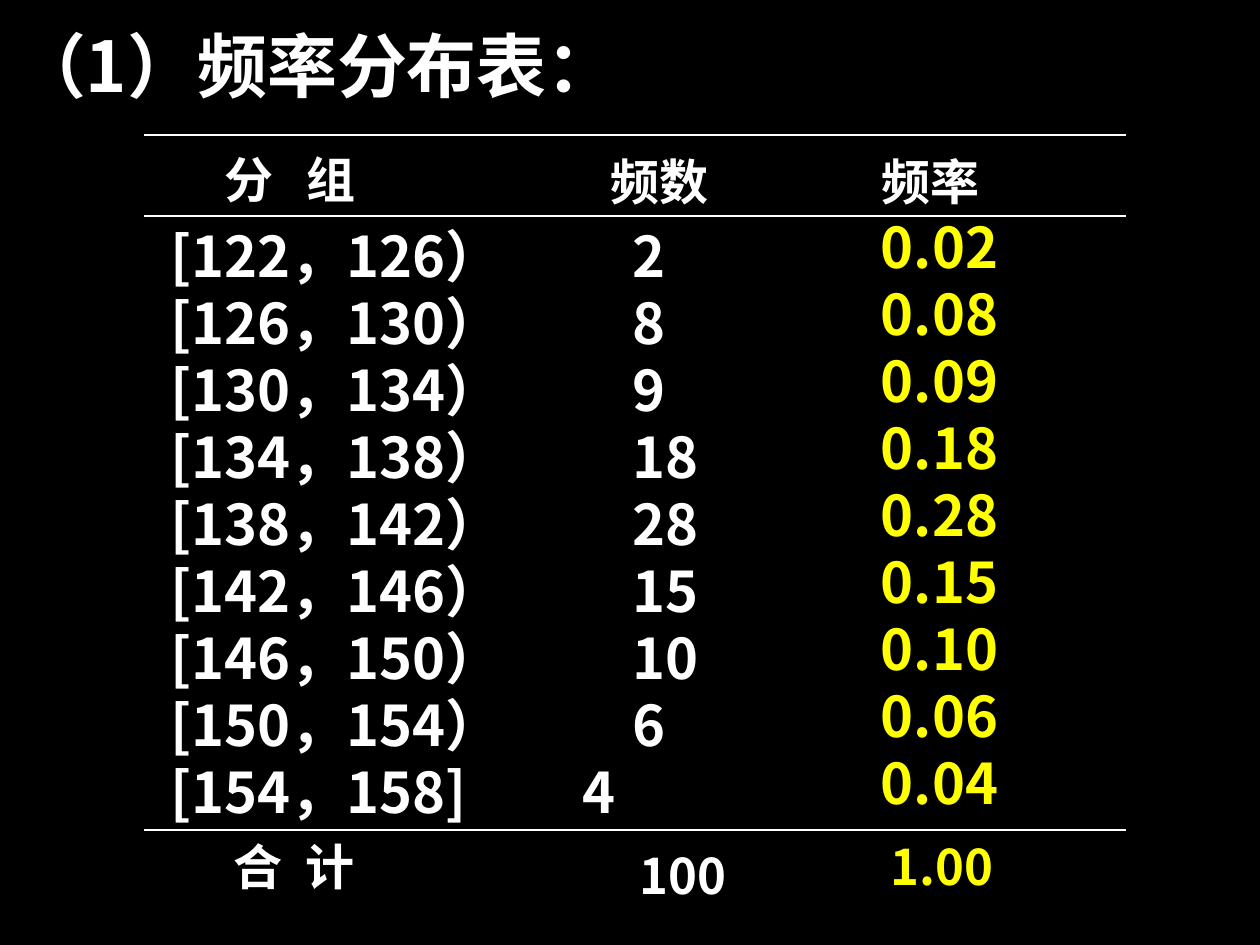
import pptx
import pptx.dml.color
import pptx.enum.shapes
import pptx.enum.text
import pptx.oxml.ns
import pptx.util
from lxml import etree

EMU_PER_PX = 914400 / 126
WHITE = pptx.dml.color.RGBColor(0xFF, 0xFF, 0xFF)
YELLOW = pptx.dml.color.RGBColor(0xFF, 0xFF, 0x00)
BLACK = pptx.dml.color.RGBColor(0x00, 0x00, 0x00)
CJK = "Noto Sans CJK SC"
PLAIN_STYLE = "{2D5ABB26-0587-4C30-8999-92F81FD0307C}"

TABLE_LEFT, TABLE_TOP = 144, 136
COLUMN_WIDTHS = [439, 287, 256]
HEADER_HEIGHT, FIRST_HEIGHT, GROUP_HEIGHT, TOTAL_HEIGHT = 80, 78, 67, 80
RULE_HEIGHTS = [135, 216, 830]
FIRST_BOUND, CLASS_WIDTH = 122, 4
COUNTS = [2, 8, 9, 18, 28, 15, 10, 6, 4]


def px(length):
    return pptx.util.Emu(round(length * EMU_PER_PX))


def set_all(target, values):
    for name, value in values.items():
        setattr(target, name, value)


def write(frame, text, size, color, latin=CJK, asian=CJK, spacing=None, tab=None):
    paragraph = frame.paragraphs[0]
    paragraph.alignment = pptx.enum.text.PP_ALIGN.LEFT
    paragraph.line_spacing = pptx.util.Pt(spacing or size)
    if tab:
        stops = etree.SubElement(
            paragraph._p.get_or_add_pPr(), pptx.oxml.ns.qn("a:tabLst"))
        etree.SubElement(stops, pptx.oxml.ns.qn("a:tab"),
                         pos=str(px(tab)), algn="l")
    run = paragraph.add_run()
    run.text = text
    set_all(run.font, {"size": pptx.util.Pt(size), "bold": True, "name": latin})
    run.font.color.rgb = color
    etree.SubElement(run._r.get_or_add_rPr(), pptx.oxml.ns.qn("a:ea"), typeface=asian)


def add_title(slide, text):
    title = slide.shapes.title
    set_all(title, {"left": px(5), "top": px(16),
                    "width": px(1016), "height": px(97)})
    set_all(title.text_frame, {
        "margin_left": px(11), "margin_right": px(13),
        "margin_top": px(6), "margin_bottom": 0, "word_wrap": True,
        "auto_size": pptx.enum.text.MSO_AUTO_SIZE.NONE,
        "vertical_anchor": pptx.enum.text.MSO_ANCHOR.TOP})
    write(title.text_frame, text, 40, WHITE, spacing=48)


def fill_cell(cell, text, indent, lift, size, color=WHITE, **style):
    set_all(cell, {"margin_left": px(indent), "margin_right": 0,
                   "margin_top": 0, "margin_bottom": px(lift),
                   "vertical_anchor": pptx.enum.text.MSO_ANCHOR.BOTTOM})
    cell.fill.background()
    write(cell.text_frame, text, size, color, **style)


def add_rule(slide, height):
    rule = slide.shapes.add_connector(
        pptx.enum.shapes.MSO_CONNECTOR.STRAIGHT, px(TABLE_LEFT), px(height),
        px(TABLE_LEFT + sum(COLUMN_WIDTHS)), px(height))
    rule.line.color.rgb = WHITE
    rule.line.width = pptx.util.Pt(0.75)
    etree.SubElement(rule._element.spPr, pptx.oxml.ns.qn("a:effectLst"))


def group_label(index, last):
    lower = FIRST_BOUND + CLASS_WIDTH * index
    return f"[{lower}，{lower + CLASS_WIDTH}{']' if index == last else '）'}"


def add_frequency_table(slide):
    group_count = len(COUNTS)
    heights = ([HEADER_HEIGHT, FIRST_HEIGHT]
               + [GROUP_HEIGHT] * (group_count - 1) + [TOTAL_HEIGHT])
    holder = slide.shapes.add_table(
        len(heights), len(COLUMN_WIDTHS), px(TABLE_LEFT), px(TABLE_TOP),
        px(sum(COLUMN_WIDTHS)), px(sum(heights)))
    table = holder.table
    set_all(table, {"first_row": False, "horz_banding": False})
    table._tbl.tblPr.find(pptx.oxml.ns.qn("a:tableStyleId")).text = PLAIN_STYLE
    for column, width in zip(table.columns, COLUMN_WIDTHS):
        column.width = px(width)
    for row, height in zip(table.rows, heights):
        row.height = px(height)

    header, *groups, total = [list(row.cells) for row in table.rows]
    fill_cell(header[0], "分\t组", 81, 3, 28, latin="Arial", tab=82)
    fill_cell(header[1], "频数", 28, 1, 28, latin="Arial")
    fill_cell(header[2], "频率", 12, 1, 28, latin="Arial")

    last = group_count - 1
    for index, (cells, count) in enumerate(zip(groups, COUNTS)):
        fill_cell(cells[0], group_label(index, last), 26, 0, 32, asian="Arial")
        fill_cell(cells[1], str(count), 0 if index == last else 50, 0, 32)
        fill_cell(cells[2], f"{count / sum(COUNTS):.2f}", 11, 9, 32, YELLOW)

    fill_cell(total[0], "合\t计", 90, 10, 28, latin="Arial", tab=72)
    fill_cell(total[1], str(sum(COUNTS)), 57, 1, 28)
    fill_cell(total[2], "1.00", 21, 10, 28, YELLOW)


def main():
    deck = pptx.Presentation()
    set_all(deck, {"slide_width": px(1260), "slide_height": px(945)})
    slide = deck.slides.add_slide(deck.slide_layouts[5])
    slide.background.fill.solid()
    slide.background.fill.fore_color.rgb = BLACK
    add_title(slide, "（1）频率分布表：")
    add_frequency_table(slide)
    for height in RULE_HEIGHTS:
        add_rule(slide, height)
    deck.save("out.pptx")


if __name__ == "__main__":
    main()
